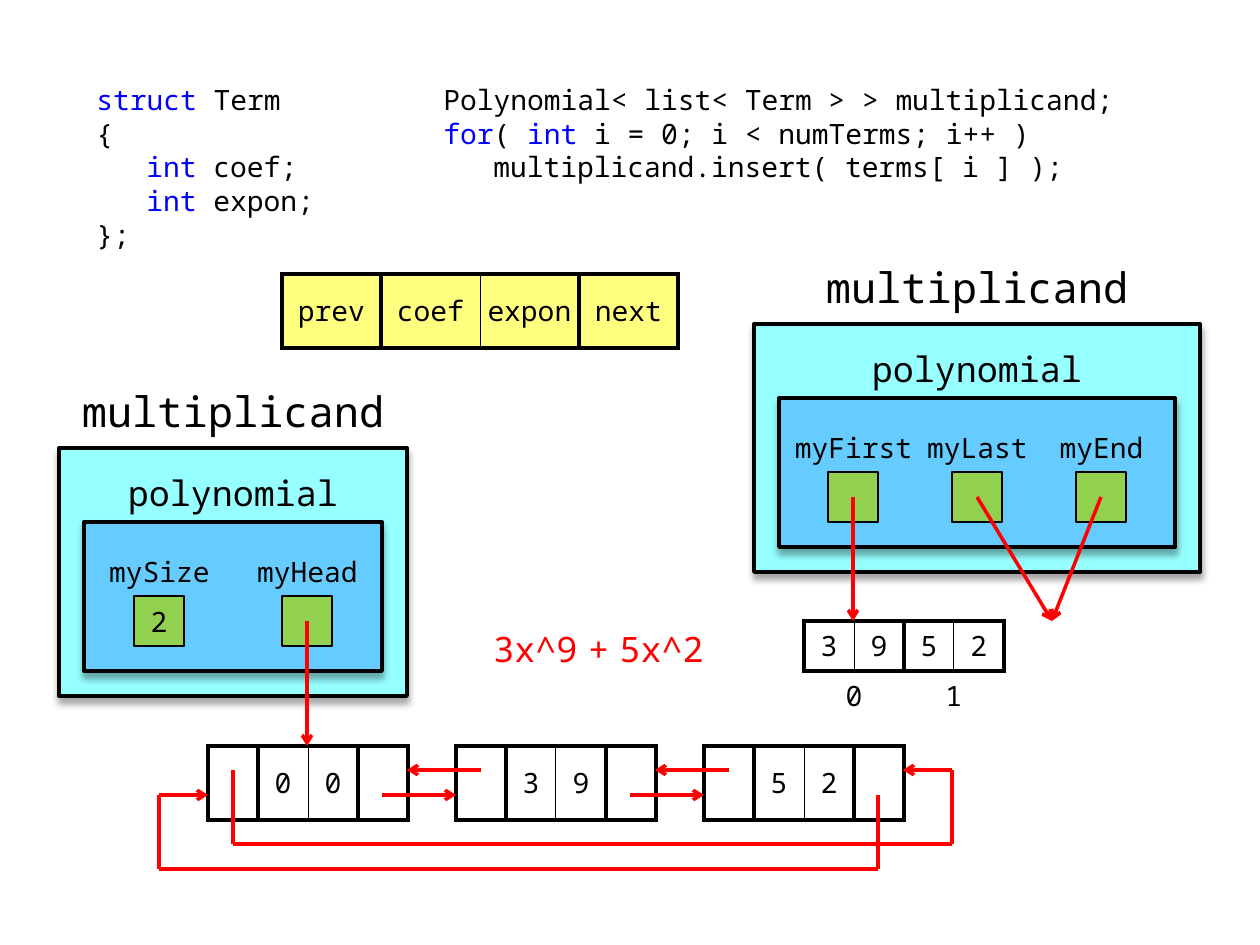
"""Builds a slide on storing a polynomial in a linked list and in an array."""
import pptx
import pptx.dml.color
import pptx.enum.shapes
import pptx.enum.text
import pptx.oxml
import pptx.oxml.ns
import pptx.util

RGB = pptx.dml.color.RGBColor
BLACK = RGB(0x00, 0x00, 0x00)
BLUE = RGB(0x00, 0x00, 0xFF)
RED = RGB(0xFF, 0x00, 0x00)
YELLOW = RGB(0xFF, 0xFF, 0x00)
CYAN = RGB(0x96, 0xFF, 0xFF)
SKY = RGB(0x66, 0xCC, 0xFF)
GREEN = RGB(0x92, 0xD0, 0x50)
SHAPES = pptx.enum.shapes.MSO_SHAPE
CENTER = pptx.enum.text.PP_ALIGN.CENTER
MIDDLE = pptx.enum.text.MSO_ANCHOR.MIDDLE
NO_TABLE_STYLE = "{2D5ABB26-0587-4C30-8999-92F81FD0307C}"


def px(length):
    return pptx.util.Emu(round(length * 914400 / 126))


def xml(tag, attributes="", content=""):
    namespace = pptx.oxml.ns.nsdecls("a")
    return pptx.oxml.parse_xml(f"<a:{tag} {namespace} {attributes}>{content}</a:{tag}>")


class Sketch:
    font = "Noto Sans Mono"
    size = 16
    heavy, thin = 2.25, 0.5

    def __init__(self, slide):
        self.slide = slide

    def run(self, paragraph, words, color=BLACK, size=size):
        run = paragraph.add_run()
        run.text = words
        run.font.name = self.font
        run.font.size = pptx.util.Pt(size)
        run.font.color.rgb = color

    def textbox(self, left, top, width, height):
        box = self.slide.shapes.add_textbox(px(left), px(top), px(width), px(height))
        box.text_frame.word_wrap = True
        return box.text_frame

    def label(self, left, top, width, height, words, size=size, drop=0):
        frame = self.textbox(left, top, width, height)
        frame.vertical_anchor = MIDDLE
        if drop:
            frame.margin_top, frame.margin_bottom = px(drop), 0
        frame.paragraphs[0].alignment = CENTER
        self.run(frame.paragraphs[0], words, size=size)

    def code(self, left, top, width, height, lines):
        frame = self.textbox(left, top, width, height)
        for number, (indent, runs) in enumerate(lines):
            line = frame.add_paragraph() if number else frame.paragraphs[0]
            line.line_spacing = pptx.util.Pt(19.3)
            line._p.get_or_add_pPr().set("marL", str(px(50 * indent)))
            for words, color in runs:
                self.run(line, words, color)

    def box(self, kind, left, top, width, height, fill, weight):
        box = self.slide.shapes.add_shape(kind, px(left), px(top), px(width), px(height))
        box.shadow.inherit = False
        box.fill.solid()
        box.fill.fore_color.rgb = fill
        box.line.color.rgb = BLACK
        box.line.width = pptx.util.Pt(weight)
        return box

    def panel_box(self, left, top, width, height, fill):
        box = self.box(SHAPES.FLOWCHART_PROCESS, left, top, width, height, fill, self.heavy)
        effects = box._element.spPr.find(pptx.oxml.ns.qn("a:effectLst"))
        effects.append(xml(
            "outerShdw", 'blurRad="50800" dist="38100" dir="5400000" rotWithShape="0"',
            '<a:srgbClr val="000000"><a:alpha val="35000"/></a:srgbClr>'))

    def field(self, center, top, name, value=""):
        self.label(center - 74, top, 149, 49, name)
        box = self.box(SHAPES.RECTANGLE, center - 25, top + 49, 50, 50, GREEN, 1.5)
        if value:
            box.text_frame.vertical_anchor = MIDDLE
            box.text_frame.paragraphs[0].alignment = CENTER
            self.run(box.text_frame.paragraphs[0], value)

    def panel(self, left, top, width, fields):
        middle = left + width // 2
        self.panel_box(left, top, width, 248, CYAN)
        self.panel_box(left + 25, top + 74, width - 50, 149, SKY)
        self.label(middle - 174, top - 74, 348, 74, "multiplicand", 24)
        self.label(middle - 124, top, 248, 74, "polynomial", 20, drop=15)
        for center, *texts in fields:
            self.field(center, top + 99, *texts)

    def border(self, cell, side, weight):
        paint = '<a:solidFill><a:srgbClr val="000000"/></a:solidFill>' if weight else "<a:noFill/>"
        cell._tc.get_or_add_tcPr().append(
            xml(f"ln{side}", f'w="{pptx.util.Pt(weight)}"', paint))

    def cell(self, cell, words, weights):
        cell.margin_left = cell.margin_right = px(6)
        cell.margin_top = cell.margin_bottom = px(5)
        cell.vertical_anchor = MIDDLE
        for side, weight in zip("LRTB", weights):
            self.border(cell, side, weight)
        cell.fill.background()
        if words:
            cell.text_frame.paragraphs[0].alignment = CENTER
            self.run(cell.text_frame.paragraphs[0], words)

    def record(self, left, top, column, row, values, thin_after, indexes=()):
        rows = 2 if indexes else 1
        frame = self.slide.shapes.add_table(
            rows, len(values), px(left), px(top), px(column * len(values)), px(row * rows))
        table = frame.table
        table.first_row = table.horz_banding = False
        table._tbl.tblPr.find(pptx.oxml.ns.qn("a:tableStyleId")).text = NO_TABLE_STYLE
        for part in table.columns:
            part.width = px(column)
        for part in table.rows:
            part.height = px(row)
        for number, words in enumerate(values):
            before = self.thin if number - 1 in thin_after else self.heavy
            after = self.thin if number in thin_after else self.heavy
            self.cell(table.cell(0, number), words, (before, after, self.heavy, self.heavy))
        for number, words in enumerate(indexes):
            first = table.cell(1, 2 * number)
            first.merge(table.cell(1, 2 * number + 1))
            self.cell(first, words, (0, 0, self.heavy, 0))
        return table

    def tint(self, table, color, alpha):
        for cell in table.iter_cells():
            cell.fill.solid()
            cell.fill.fore_color.rgb = color
            for shade in cell._tc.tcPr.findall("./" + pptx.oxml.ns.qn("a:solidFill") + "/*"):
                shade.append(xml("alpha", f'val="{alpha * 1000}"'))

    def pointer(self, *points):
        for start, end in zip(points, points[1:]):
            line = self.slide.shapes.add_connector(
                pptx.enum.shapes.MSO_CONNECTOR.STRAIGHT, *map(px, start + end))
            line.line.color.rgb = RED
            line.line.width = pptx.util.Pt(2)
            if end == points[-1]:
                line.line._get_or_add_ln().append(xml("tailEnd", 'type="arrow"'))
            line._element.spPr.append(xml("effectLst"))


def main():
    deck = pptx.Presentation()
    deck.slide_width, deck.slide_height = px(1260), px(945)
    sketch = Sketch(deck.slides.add_slide(deck.slide_layouts[6]))

    sketch.code(431, 76, 769, 124, [
        (0, [("Polynomial< list< Term > > multiplicand;", BLACK)]),
        (0, [("for", BLUE), ("( ", BLACK), ("int", BLUE),
             (" i = 0; i < numTerms; i++ )", BLACK)]),
        (1, [("multiplicand.insert( terms[ i ] );", BLACK)])])
    sketch.code(84, 76, 248, 198, [
        (0, [("struct ", BLUE), ("Term", BLACK)]),
        (0, [("{", BLACK)]),
        (1, [("int ", BLUE), ("coef;", BLACK)]),
        (1, [("int ", BLUE), ("expon;", BLACK)]),
        (0, [("};", BLACK)])])

    legend = sketch.record(282, 274, 99, 74, ["prev", "coef", "expon", "next"], {1})
    sketch.tint(legend, YELLOW, 50)

    sketch.panel(59, 448, 348, [(159, "mySize", "2"), (307, "myHead")])
    sketch.panel(754, 324, 446, [(853, "myFirst"), (977, "myLast"), (1101, "myEnd")])

    for number, (coef, expon) in enumerate(["00", "39", "52"]):
        node = 208 + 248 * number
        sketch.record(node, 746, 50, 74, ["", coef, expon, ""], {1})
        if number:
            sketch.pointer((node + 25, 770), (node - 49, 770))
            sketch.pointer((node - 74, 795), (node, 795))
    sketch.record(804, 621, 50, 50, list("3952"), {0, 2}, indexes="01")

    sketch.pointer((307, 621), (307, 746))
    sketch.pointer((853, 497), (853, 621))
    for holder in (977, 1101):
        sketch.pointer((holder, 497), (1052, 621))
    sketch.pointer((878, 795), (878, 869), (159, 869), (159, 795), (208, 795))
    sketch.pointer((233, 770), (233, 844), (952, 844), (952, 770), (903, 770))

    formula = sketch.textbox(481, 621, 248, 50)
    formula.word_wrap = False
    for words, size in [("3x^9", 20), (" ", 10), ("+", 20), (" ", 10), ("5x^2", 20)]:
        sketch.run(formula.paragraphs[0], words, RED, size)
    deck.save("out.pptx")


if __name__ == "__main__":
    main()
